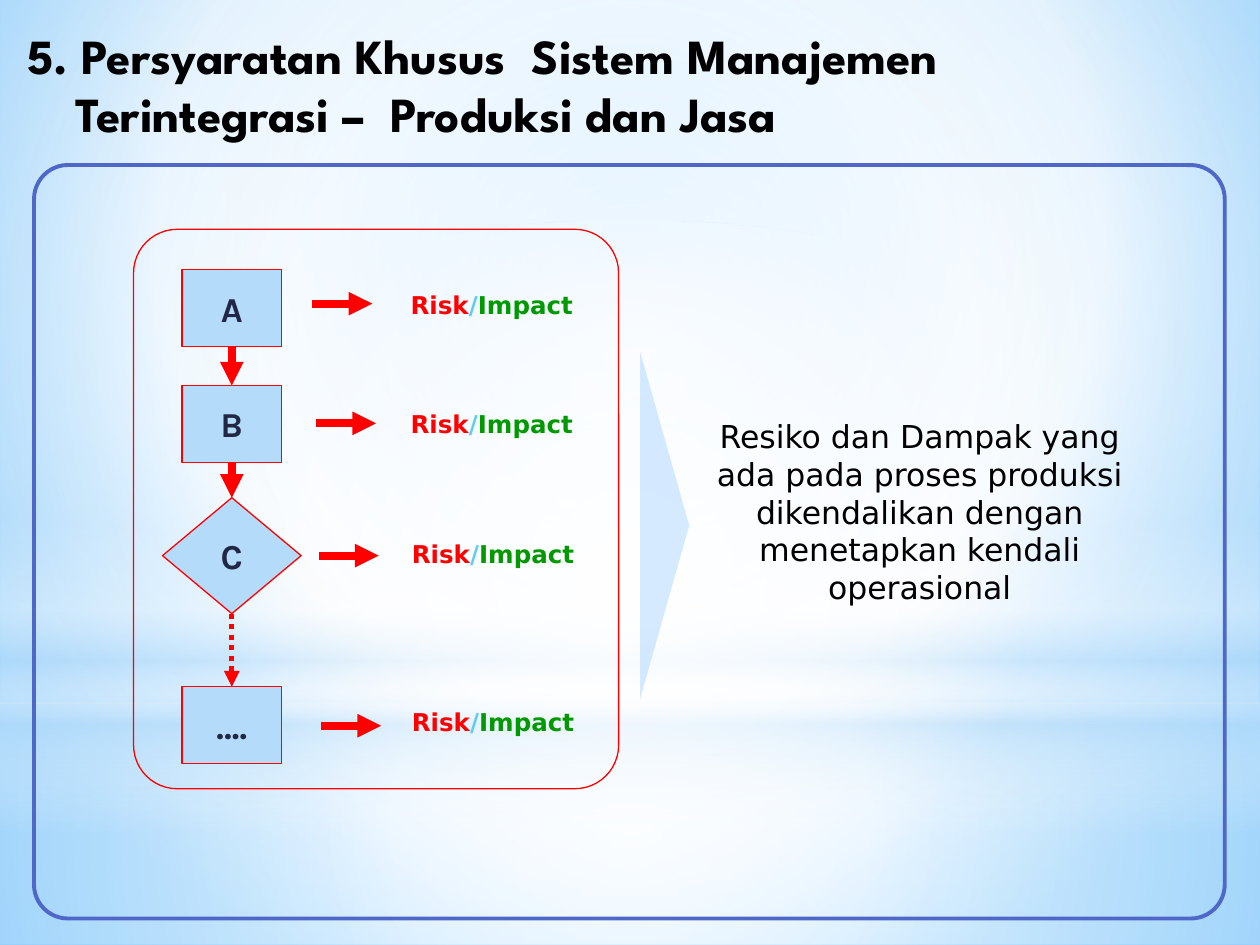
from itertools import pairwise

from lxml import etree
from pptx import Presentation
from pptx.dml.color import RGBColor
from pptx.enum import dml, shapes, text
from pptx.oxml.ns import nsdecls, qn
from pptx.oxml import parse_xml
from pptx.util import Inches, Pt

KIND = shapes.MSO_SHAPE
THEME = {
    "red": "FF0000", "green": "009900", "cyan": "5ECCF3", "sky": "B4DCFA",
    "navy": "212745", "frame": "4E67C8", "pointer": "99CCFF", "black": "000000",
    "title": ("League Spartan", 28), "step": ("Karla", 20),
    "risk": ("DejaVu Sans", 14), "summary": ("DejaVu Sans", 18),
}
TITLE = "5. Persyaratan Khusus  Sistem Manajemen  Terintegrasi –  Produksi dan Jasa"
SUMMARY = ("Resiko dan Dampak yang ada pada proses produksi dikendalikan "
           "dengan menetapkan kendali operasional")
RISK = [("Risk", "red"), ("/", "cyan"), ("Impact", "green")]
# label, kind, top, width, height, (arrow x, arrow y), (risk x, risk y)
STEPS = [
    ("A", KIND.RECTANGLE, 2.14, 0.79, 0.61, (2.48, 2.41), (3.16, 2.25)),
    ("B", KIND.RECTANGLE, 3.06, 0.79, 0.61, (2.51, 3.36), (3.16, 3.2)),
    ("C", KIND.DIAMOND, 3.95, 1.1, 0.92, (2.53, 4.41), (3.17, 4.23)),
    ("….", KIND.RECTANGLE, 5.45, 0.79, 0.61, (2.55, 5.76), (3.17, 5.56)),
]
FLOW = [(4.5, False), (4.5, False), (3, True)]
STEP_CENTER = 1.84
ARROW_LENGTH = 0.475
HANGING = 0.38
CENTERED = (50, 50, 50, 50)
BACKGROUND = ([(0, "9ED5FF", 100), (60, "FFFFFF", 100), (100, "5BB9FF", 100)],
              (20, 10, 20, 60))
GLOWS = [
    (KIND.RECTANGLE, (0, 5.58, 10, 1.92),
     [(0, "FFFFFF", 91), (37, "FFFFFF", 76), (100, "B4DCFA", 79)], CENTERED),
    (KIND.RECTANGLE, (0, 0, 10, 5.58),
     [(0, "FFFFFF", 89), (48, "FFFFFF", 62), (100, "B4DCFA", 79)], CENTERED),
    (KIND.RECTANGLE, (0, 4.12, 10, 2.5),
     [(0, "FFFFFF", 0), (29, "FFFFFF", 30), (45, "B4DCFA", 40),
      (55, "FFFFFF", 26), (65, "B4DCFA", 60), (100, "FFFFFF", 0)], None),
    (KIND.OVAL, (0, 1.75, 10, 5.58),
     [(0, "FFFFFF", 100), (56, "FFFFFF", 0)], CENTERED),
]


def color(name):
    return RGBColor.from_string(THEME[name])


def paint_gradient(properties, stops, center):
    marks = "".join(
        f'<a:gs pos="{pos * 1000}"><a:srgbClr val="{rgb}">'
        f'<a:alpha val="{alpha * 1000}"/></a:srgbClr></a:gs>'
        for pos, rgb, alpha in stops)
    if center:
        edges = " ".join(f'{side}="{v * 1000}"' for side, v in zip("ltrb", center))
        direction = f'<a:path path="circle"><a:fillToRect {edges}/></a:path>'
    else:
        direction = '<a:lin ang="5400000" scaled="0"/>'
    gradient = parse_xml(f'<a:gradFill {nsdecls("a")} rotWithShape="1">'
                         f'<a:gsLst>{marks}</a:gsLst>{direction}</a:gradFill>')
    properties.replace(properties.find(qn("a:solidFill")), gradient)


def add_figure(kind, box, fill=None, line=None, width=0.75, adjust=None):
    figure = slide.shapes.add_shape(kind, *map(Inches, box))
    figure.shadow.inherit = False
    if adjust is not None:
        figure.adjustments[0] = adjust
    if fill:
        figure.fill.solid()
        figure.fill.fore_color.rgb = color(fill)
    else:
        figure.fill.background()
    if line:
        figure.line.color.rgb = color(line)
        figure.line.width = Pt(width)
    else:
        figure.line.fill.background()
    return figure


def write(holder, parts, style, align, hanging=False, wrap=False):
    frame = holder.text_frame
    frame.word_wrap = wrap
    paragraph = frame.paragraphs[0]
    paragraph.alignment = align
    if hanging:
        properties = paragraph._p.get_or_add_pPr()
        properties.set("marL", str(Inches(HANGING)))
        properties.set("indent", str(Inches(-HANGING)))
    for words, tint in parts:
        run = paragraph.add_run()
        run.text = words
        run.font.name, size = THEME[style]
        run.font.size = Pt(size)
        run.font.bold = style != "summary"
        run.font.color.rgb = color(tint)


def add_text(box, *args, **options):
    holder = slide.shapes.add_textbox(*map(Inches, box))
    write(holder, *args, **options)
    holder.text_frame.auto_size = text.MSO_AUTO_SIZE.SHAPE_TO_FIT_TEXT


def add_arrow(start, end, width=4.5, dotted=False):
    arrow = slide.shapes.add_connector(
        shapes.MSO_CONNECTOR.STRAIGHT, *map(Inches, (*start, *end)))
    arrow.line.color.rgb = color("red")
    arrow.line.width = Pt(width)
    if dotted:
        arrow.line.dash_style = dml.MSO_LINE.ROUND_DOT
    etree.SubElement(arrow.line._get_or_add_ln(), qn("a:tailEnd"), type="triangle")
    etree.SubElement(arrow._element.spPr, qn("a:effectLst"))
    return arrow


deck = Presentation()
deck.slide_width, deck.slide_height = Inches(10), Inches(7.5)
slide = deck.slides.add_slide(deck.slide_layouts[6])

slide.background.fill.solid()
paint_gradient(slide._element.find(".//" + qn("p:bgPr")), *BACKGROUND)
for kind, box, stops, center in GLOWS:
    glow = add_figure(kind, box, fill="sky")
    paint_gradient(glow._element.spPr, stops, center)

LEFT, CENTER = text.PP_ALIGN.LEFT, text.PP_ALIGN.CENTER
steps = []
for label, kind, top, width, height, _, _ in STEPS:
    step = add_figure(kind, (STEP_CENTER - width / 2, top, width, height), "sky", "red")
    write(step, [(label, "navy")], "step", CENTER, hanging=True)
    step.text_frame.vertical_anchor = text.MSO_ANCHOR.MIDDLE
    steps.append(step)

for (upper, lower), (width, dotted) in zip(pairwise(steps), FLOW):
    flow = add_arrow((0, 0), (1, 1), width, dotted)
    flow.begin_connect(upper, 2)
    flow.end_connect(lower, 0)

for *_, (arrow_x, arrow_y), risk_at in STEPS:
    add_text((*risk_at, 1.58, 0.33), RISK, "risk", LEFT, hanging=True)
    add_arrow((arrow_x, arrow_y), (arrow_x + ARROW_LENGTH, arrow_y))

add_figure(KIND.ROUNDED_RECTANGLE, (1.06, 1.82, 3.85, 4.44), line="red", adjust=0.09)
pointer = add_figure(KIND.PENTAGON, (5.08, 2.79, 0.39, 2.76), "pointer", adjust=1)
tint = pointer._element.spPr.find(qn("a:solidFill"))[0]
etree.SubElement(tint, qn("a:alpha"), val="40000")
add_text((5.58, 3.26, 3.44, 1.61), [(SUMMARY, "black")], "summary", CENTER, wrap=True)
add_figure(KIND.ROUNDED_RECTANGLE, (0.27, 1.31, 9.45, 5.98), line="frame",
           width=2.25, adjust=0.045)
add_text((0.12, 0.15, 9.61, 1.05), [(TITLE, "black")], "title", LEFT,
         hanging=True, wrap=True)

deck.save("out.pptx")
